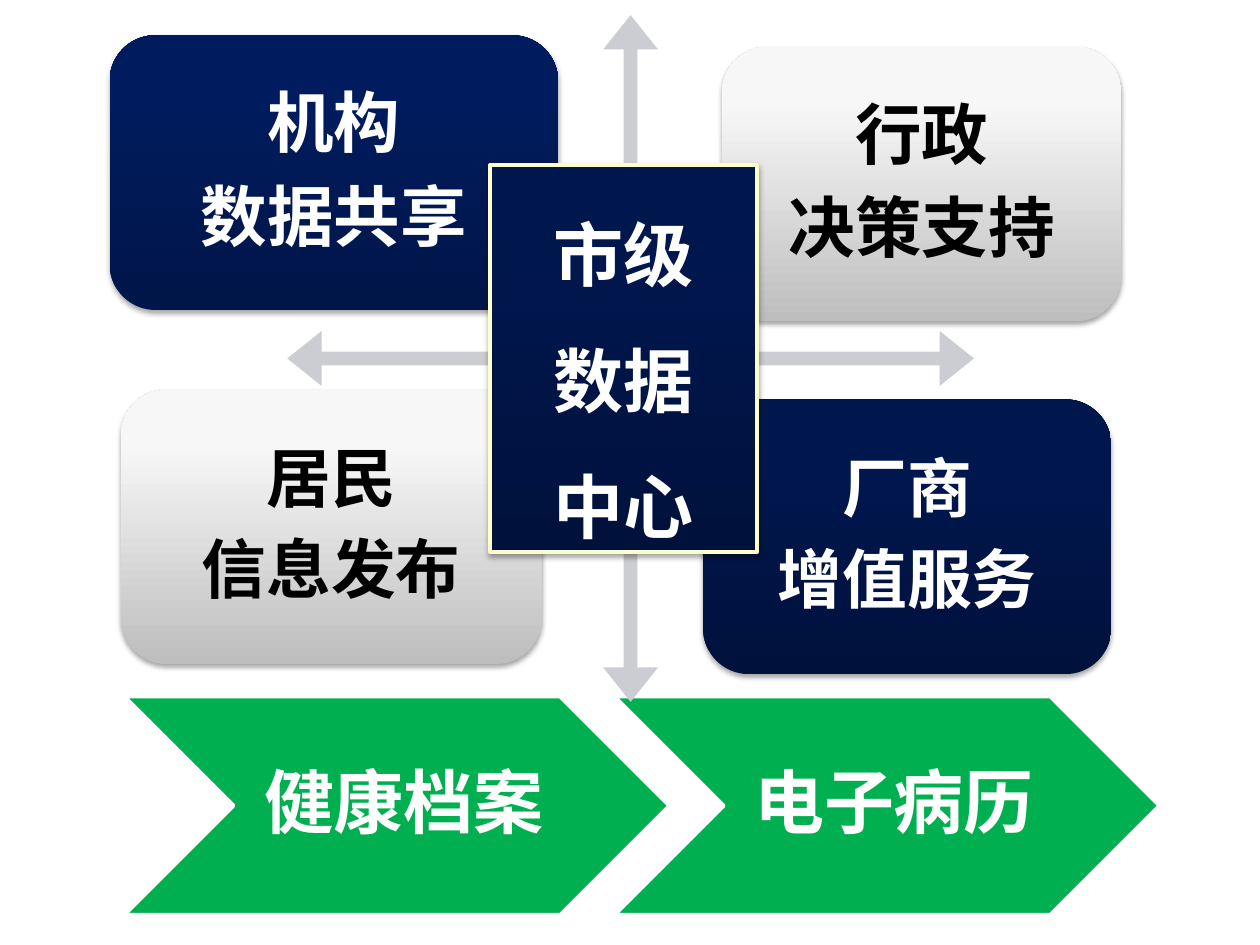
from lxml.etree import SubElement
from pptx import Presentation
from pptx.dml.color import RGBColor
from pptx.enum.lang import MSO_LANGUAGE_ID as Language
from pptx.enum.shapes import MSO_SHAPE as Shape
from pptx.enum.text import MSO_ANCHOR as Anchor, PP_ALIGN as Align
from pptx.oxml.ns import qn
from pptx.util import Inches, Pt


def color(value):
    return RGBColor.from_string(value)


def add_block(kind, box, fills, line=None, shadow=False, lines=(), size=40,
              ink="FFFFFF", font="Arial", insets=(0, 0, 0, 0), leading=1.06, after=0.35):
    shape = slide.shapes.add_shape(kind, *[Inches(value) for value in box])
    shape.shadow.inherit = False
    if len(fills) == 2:
        shape.fill.gradient()
        shape.fill.gradient_angle = 90
        for stop, value, position in zip(shape.fill.gradient_stops, fills, (0, 0.8)):
            stop.color.rgb = color(value)
            stop.position = position
    else:
        shape.fill.solid()
        shape.fill.fore_color.rgb = color(fills[0])
    if line:
        shape.line.color.rgb = color(line[0])
        shape.line.width = Pt(line[1])
    else:
        shape.line.fill.background()
    if shadow:
        effects = shape._element.spPr.find(qn("a:effectLst"))
        outer = SubElement(effects, qn("a:outerShdw"), blurRad=str(Pt(3.1)), dist=str(Pt(1.8)),
                           dir="5400000", rotWithShape="0")
        black = SubElement(outer, qn("a:srgbClr"), val="000000")
        SubElement(black, qn("a:alpha"), val="35000")
    frame = shape.text_frame
    frame.word_wrap = True
    frame.vertical_anchor = Anchor.MIDDLE
    frame.margin_left, frame.margin_top, frame.margin_right, frame.margin_bottom = [
        Inches(value) for value in insets]
    for index, text in enumerate(lines):
        paragraph = frame.add_paragraph() if index else frame.paragraphs[0]
        paragraph.alignment = Align.CENTER
        paragraph.line_spacing = Pt(round(size * leading, 1))
        paragraph.space_after = Pt(round(size * after, 1))
        run = paragraph.add_run()
        run.text = text
        run.font.size = Pt(size)
        run.font.bold = True
        run.font.name = font
        run.font.language_id = Language.SIMPLIFIED_CHINESE
        run.font.color.rgb = color(ink)
        SubElement(run._r.get_or_add_rPr(), qn("a:ea"), typeface=font)
    return shape


presentation = Presentation()
presentation.slide_width = Inches(10)
presentation.slide_height = Inches(7.5)
slide = presentation.slides.add_slide(presentation.slide_layouts[6])

for index, label in enumerate(["健康档案", "电子病历"]):
    add_block(Shape.CHEVRON, (0.99 + 3.89 * index, 5.53, 4.32, 1.73), ["00B050"],
              line=("FFFFFF", 2), lines=[label], insets=(0.17, 0.06, 0.06, 0.06))

arrows = add_block(Shape.QUAD_ARROW, (2.28, 0.12, 5.45, 5.45), ["CCCDD2"])
for index, value in enumerate((0.02, 0.04, 0.05)):
    arrows.adjustments[index] = value

navy = ["001548", "001C5E"]
dark_navy = ["00113C", "00174E"]
silver = ["BEBEBE", "F7F7F7"]
quadrants = [
    (0.87, 0.28, 3.56, navy, "FFFFFF", 38, ["机构", "数据共享"]),
    (5.73, 0.37, 3.17, silver, "000000", 38, ["行政", "决策支持"]),
    (0.96, 3.09, 3.34, silver, "000000", 37, ["居民", "信息发布"]),
    (5.58, 3.17, 3.24, dark_navy, "FFFFFF", 37, ["厂商", "增值服务"]),
]
for left, top, width, fills, ink, size, lines in quadrants:
    add_block(Shape.ROUNDED_RECTANGLE, (left, top, width, 2.18), fills, shadow=True,
              lines=lines, size=size, ink=ink, insets=(0.15,) * 4)

add_block(Shape.RECTANGLE, (3.89, 1.31, 2.12, 3.07), dark_navy, line=("FFFFCC", 2.25),
          shadow=True, lines=["市级", "数据", "中心"], font="Noto Sans CJK SC",
          insets=(0.1, 0.05, 0.1, 0.05), leading=1.8, after=0)

presentation.save("out.pptx")
